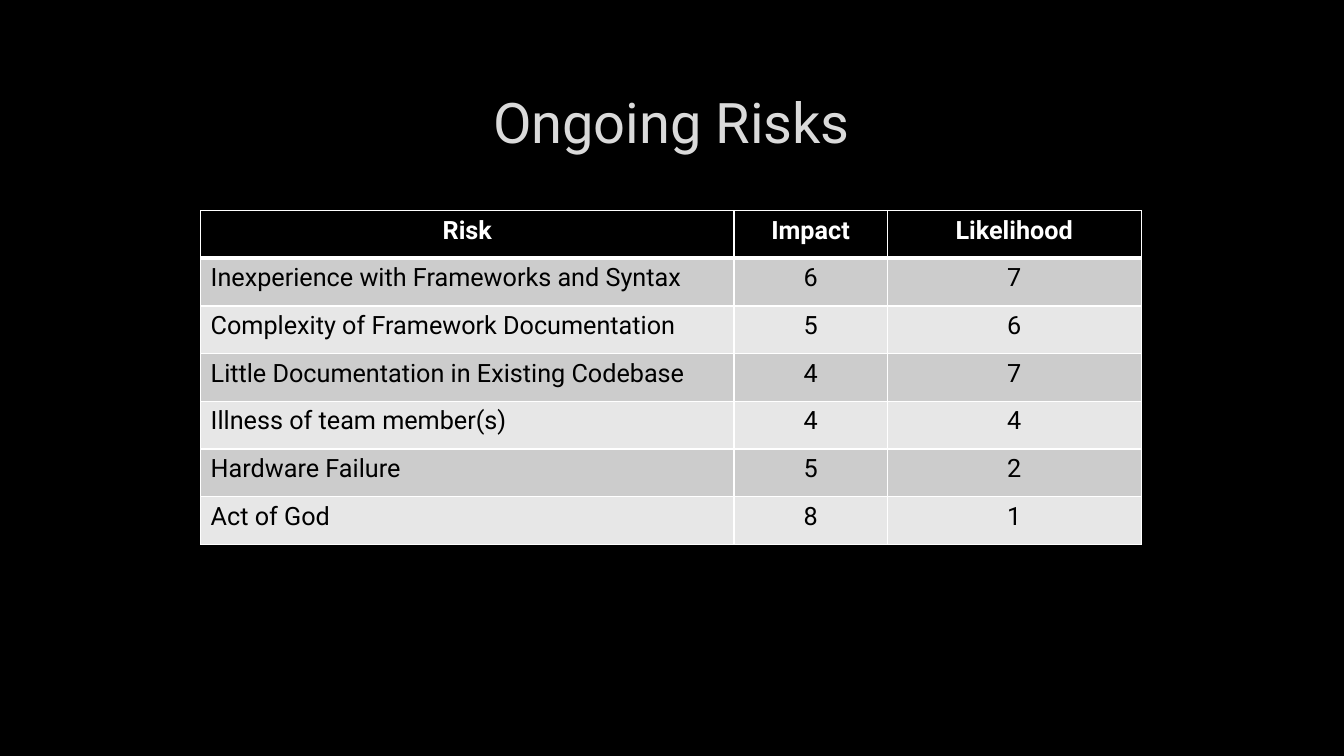
from pptx import Presentation
from pptx import util as u
from pptx.dml.color import RGBColor
from pptx.enum import text
from pptx.oxml import parse_xml
from pptx.oxml.ns import nsdecls

COLOURS = {
    "ground": "000000", "title": "DADADA", "outline": "404040", "rule": "FFFFFF",
    "heading": "FFFFFF", "body": "000000", "odd": "CCCCCC", "even": "E7E7E7",
}
RISKS = [
    ("Risk", "Impact", "Likelihood"),
    ("Inexperience with Frameworks and Syntax", "6", "7"),
    ("Complexity of Framework Documentation", "5", "6"),
    ("Little Documentation in Existing Codebase", "4", "7"),
    ("Illness of team member(s)", "4", "4"),
    ("Hardware Failure", "5", "2"),
    ("Act of God", "8", "1"),
]


def line_xml(tag, width, colour, alpha=100):
    return parse_xml(
        f'<a:{tag} {nsdecls("a")} w="{u.Pt(width)}"><a:solidFill><a:srgbClr val="{COLOURS[colour]}">'
        f'<a:alpha val="{alpha * 1000}"/></a:srgbClr></a:solidFill><a:prstDash val="solid"/></a:{tag}>'
    )


def write(frame, words, size=18, colour="body", bold=False, centred=True):
    para = frame.paragraphs[0]
    para.alignment = text.PP_ALIGN.CENTER if centred else text.PP_ALIGN.LEFT
    span = para.add_run()
    span.text = words
    span.font.name = "Roboto"
    span.font.size = u.Pt(size)
    span.font.bold = bold
    span.font.color.rgb = RGBColor.from_string(COLOURS[colour])
    return span


class RiskPage:
    """Holds the style and the current slide, and adds its elements."""

    def __init__(self, deck):
        self.page = deck.slides.add_slide(deck.slide_layouts[5])
        self.fill(self.page.background, "ground")

    def fill(self, target, colour):
        target.fill.solid()
        target.fill.fore_color.rgb = RGBColor.from_string(COLOURS[colour])

    def title(self, words, left, top, width, height):
        box = self.page.shapes.title
        box.left, box.top = u.Inches(left), u.Inches(top)
        box.width, box.height = u.Inches(width), u.Inches(height)
        box.text_frame.vertical_anchor = text.MSO_ANCHOR.MIDDLE
        span = write(box.text_frame, words, size=40, colour="title")
        span.font._element.insert(0, line_xml("ln", 0.75, "outline", alpha=10))

    def table(self, rows, left, top, widths, height):
        frame = self.page.shapes.add_table(
            len(rows), len(widths), u.Inches(left), u.Inches(top),
            u.Inches(sum(widths)), u.Inches(height))
        grid = frame.table
        for column, width in zip(grid.columns, widths):
            column.width = u.Inches(width)
        for row, values in enumerate(rows):
            for column, words in enumerate(values):
                self.cell(grid.cell(row, column), words, row, column)

    def cell(self, cell, words, row, column):
        heading = row == 0
        write(cell.text_frame, words, colour="heading" if heading else "body",
              bold=heading, centred=heading or column > 0)
        borders = {"lnL": 1, "lnR": 1, "lnT": 3 if row == 1 else 1, "lnB": 3 if heading else 1}
        properties = cell._tc.get_or_add_tcPr()
        for tag, width in borders.items():
            properties.append(line_xml(tag, width, "rule"))
        self.fill(cell, "ground" if heading else "odd" if row % 2 else "even")


def main():
    deck = Presentation()
    deck.slide_width, deck.slide_height = u.Inches(13.33), u.Inches(7.5)
    page = RiskPage(deck)
    page.title("Ongoing Risks", 1, 0.67, 11.32, 1.06)
    page.table(RISKS, 1.99, 2.09, (5.29, 1.52, 2.52), 3.31)
    deck.save("out.pptx")


if __name__ == "__main__":
    main()
